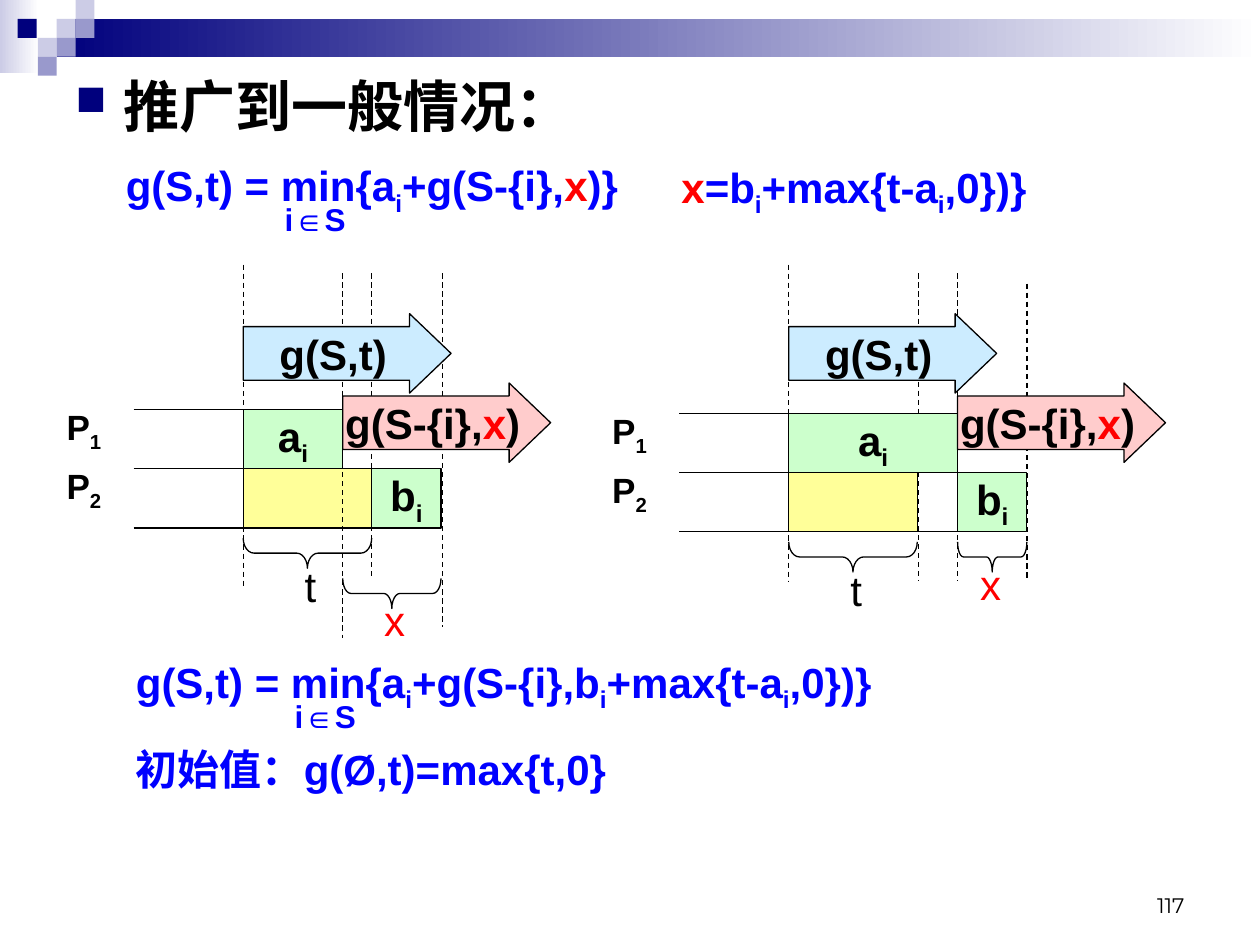
from dataclasses import dataclass

from lxml.etree import SubElement
from pptx import Presentation
from pptx.dml.color import RGBColor
from pptx.enum.dml import MSO_LINE
from pptx.enum.shapes import MSO_CONNECTOR, MSO_SHAPE
from pptx.enum.text import MSO_ANCHOR, PP_ALIGN
from pptx.oxml.ns import qn
from pptx.util import Inches, Pt


@dataclass(frozen=True)
class Theme:
    black: str = "000000"
    white: str = "FFFFFF"
    blue: str = "0000FF"
    red: str = "FF0000"
    navy: str = "00007D"
    violet: str = "9999CC"
    lavender: str = "CCCCE6"
    yellow: str = "FFFF99"
    green: str = "CCFFCC"
    sky: str = "CCECFF"
    pink: str = "FFCCCC"
    font: str = "Arial"
    number_font: str = "Montserrat"
    title: int = 32
    body: int = 24
    label: int = 20
    index: int = 18
    number: int = 12
    line: float = 0.75


THEME = Theme()
ROW = 0.47
T_WIDTH = 1.02
B_WIDTH = 0.55
BRACE_HEIGHT = 0.24


@dataclass(frozen=True)
class Schedule:
    """One two-machine diagram; guides are (x, top, bottom) of dashed lines."""
    left: float
    top: float
    a_width: float
    x_brace_top: float
    x_label_left: float
    guides: tuple


SCHEDULES = (
    Schedule(1.93, 3.25, 0.79, 4.59, 2.95,
             ((1.93, 2.1, 4.67), (2.95, 2.17, 4.59),
              (3.51, 2.17, 4.98), (2.72, 2.17, 5.06))),
    Schedule(6.26, 3.28, 1.34, 4.3, 7.68,
             ((6.26, 2.1, 4.61), (7.29, 2.17, 4.61),
              (7.6, 2.17, 4.61), (8.15, 2.25, 4.61))),
)


def rgb(colour):
    return RGBColor.from_string(colour)


def write(para, text, size, colour=THEME.black, bold=True, font=THEME.font):
    """Fill a paragraph; pieces split by | are subscript after _ and red after *."""
    para.font.name = font
    para.font.size = Pt(size)
    para.font.bold = bold
    for piece in text.split("|"):
        span = para.add_run()
        span.text = piece.lstrip("_*")
        span.font.color.rgb = rgb(THEME.red if piece.startswith("*") else colour)
        if piece.startswith("_"):
            span._r.get_or_add_rPr().set("baseline", "-25000")


def add_text(page, left, top, width, height, text, size, **style):
    box = page.shapes.add_textbox(Inches(left), Inches(top), Inches(width), Inches(height))
    box.text_frame.word_wrap = True
    write(box.text_frame.paragraphs[0], text, size, **style)
    return box


def add_block(page, left, top, width, height, fill=None, text="",
              kind=MSO_SHAPE.RECTANGLE, outlined=True):
    block = page.shapes.add_shape(kind, Inches(left), Inches(top), Inches(width), Inches(height))
    block.shadow.inherit = False
    if fill:
        block.fill.solid()
        block.fill.fore_color.rgb = rgb(fill)
    else:
        block.fill.background()
    if outlined:
        block.line.color.rgb = rgb(THEME.black)
        block.line.width = Pt(THEME.line)
    else:
        block.line.fill.background()
    if text:
        frame = block.text_frame
        frame.word_wrap = False
        frame.vertical_anchor = MSO_ANCHOR.MIDDLE
        frame.paragraphs[0].alignment = PP_ALIGN.CENTER
        write(frame.paragraphs[0], text, THEME.body)
    return block


def add_arrow(page, left, top, fill, text):
    arrow = add_block(page, left, top, 1.65, 0.63, fill, text, MSO_SHAPE.RIGHT_ARROW)
    arrow.adjustments[0] = 0.675
    arrow.adjustments[1] = 0.523


def add_line(page, x1, y1, x2, y2, dashed=False):
    line = page.shapes.add_connector(
        MSO_CONNECTOR.STRAIGHT, Inches(x1), Inches(y1), Inches(x2), Inches(y2))
    line.line.color.rgb = rgb(THEME.black)
    line.line.width = Pt(THEME.line)
    if dashed:
        line.line.dash_style = MSO_LINE.DASH
    SubElement(line._element.spPr, qn("a:effectLst"))


def add_brace(page, left, top, width):
    """Add a brace that spans width and points down."""
    brace = add_block(page, left + (width - BRACE_HEIGHT) / 2,
                      top - (width - BRACE_HEIGHT) / 2,
                      BRACE_HEIGHT, width, kind=MSO_SHAPE.LEFT_BRACE)
    brace.rotation = 270
    brace.adjustments[0] = width / 12 / BRACE_HEIGHT


def add_fade(page, left, top, width, height, start):
    band = add_block(page, left, top, width, height, start, outlined=False)
    band.fill.gradient()
    band.fill.gradient_angle = 0
    for stop, colour in zip(band.fill.gradient_stops, (start, THEME.white)):
        stop.color.rgb = rgb(colour)


def add_header(page):
    add_fade(page, 0, 0, 0.31, 0.58, THEME.lavender)
    add_fade(page, 0.45, 0.15, 9.55, 0.3, THEME.navy)
    for left, top, colour in (
            (0.45, 0.15, THEME.lavender), (0.6, 0, THEME.lavender),
            (0.6, 0.15, THEME.violet), (0.3, 0.3, THEME.lavender),
            (0.14, 0.15, THEME.navy), (0.45, 0.3, THEME.violet),
            (0.3, 0.45, THEME.violet)):
        add_block(page, left, top, 0.15, 0.15, colour, outlined=False)


def add_title(page, text):
    box = page.shapes.add_textbox(Inches(0.5), Inches(0.52), Inches(9), Inches(0.8))
    box.text_frame.word_wrap = True
    para = box.text_frame.paragraphs[0]
    properties = para._p.get_or_add_pPr()
    properties.set("marL", str(Inches(0.38)))
    properties.set("indent", str(-Inches(0.38)))
    bullet_colour = SubElement(properties, qn("a:buClr"))
    SubElement(bullet_colour, qn("a:srgbClr"), val=THEME.navy)
    SubElement(properties, qn("a:buSzPct"), val="75000")
    SubElement(properties, qn("a:buChar"), char="■")
    write(para, text, THEME.title)


def add_formula(page, left, top, text):
    """Add a recurrence with the index set below its min."""
    add_text(page, left, top, 7.32, 0.56, text, THEME.body, colour=THEME.blue)
    add_text(page, left + 1.26, top + 0.32, 0.79, 0.4, "i∈S", THEME.index, colour=THEME.blue)


def add_schedule(page, plan):
    left, top = plan.left, plan.top
    a_end, t_end = left + plan.a_width, left + T_WIDTH
    b_start = max(a_end, t_end)
    b_end = b_start + B_WIDTH

    add_block(page, left, top + ROW, T_WIDTH, ROW, THEME.yellow)
    for row in range(3):
        add_line(page, left - 0.87, top + row * ROW, left, top + row * ROW)
    for row, name in enumerate(("P|_1", "P|_2")):
        add_text(page, left - 1.5, top - 0.08 + row * ROW, 0.51, 0.48, name, THEME.label)
    for x, start, end in plan.guides:
        add_line(page, x, start, x, end, dashed=True)
    add_block(page, left, top, plan.a_width, ROW, THEME.green, "a|_i")
    add_block(page, b_start, top + ROW, B_WIDTH, ROW, THEME.green, "b|_i")
    if b_start > t_end:
        add_block(page, t_end, top + ROW, b_start - t_end, ROW)

    add_brace(page, left, top + 1.02, T_WIDTH)
    add_text(page, left + 0.39, top + 1.15, 0.31, 0.5, "t", THEME.body, bold=False)
    add_brace(page, a_end, plan.x_brace_top, b_end - a_end)
    add_text(page, plan.x_label_left, plan.x_brace_top + 0.08, 0.47, 0.5,
             "*x", THEME.body, bold=False)
    add_arrow(page, a_end, 3.04, THEME.pink, "g(S-{i},|*x|)")
    add_arrow(page, left, 2.49, THEME.sky, "g(S,t)")


def main():
    deck = Presentation()
    deck.slide_width, deck.slide_height = Inches(10), Inches(7.5)
    page = deck.slides.add_slide(deck.slide_layouts[6])
    add_header(page)
    add_title(page, "推广到一般情况：")
    add_formula(page, 0.9, 1.22, "g(S,t) = min{a|_i|+g(S-{i},|*x|)}")
    add_text(page, 5.31, 1.23, 3.07, 0.56, "*x|=b|_i|+max{t-a|_i|,0})}",
             THEME.body, colour=THEME.blue)
    for plan in SCHEDULES:
        add_schedule(page, plan)
    add_formula(page, 0.98, 5.16, "g(S,t) = min{a|_i|+g(S-{i},b|_i|+max{t-a|_i|,0})}")
    add_text(page, 0.98, 5.85, 4.17, 0.5, "初始值：g(Ø,t)=max{t,0}", THEME.body, colour=THEME.blue)
    number = add_text(page, 7.17, 6.83, 2.33, 0.5, "117", THEME.number,
                      bold=False, font=THEME.number_font)
    number.text_frame.vertical_anchor = MSO_ANCHOR.BOTTOM
    number.text_frame.paragraphs[0].alignment = PP_ALIGN.RIGHT
    deck.save("out.pptx")


if __name__ == "__main__":
    main()
